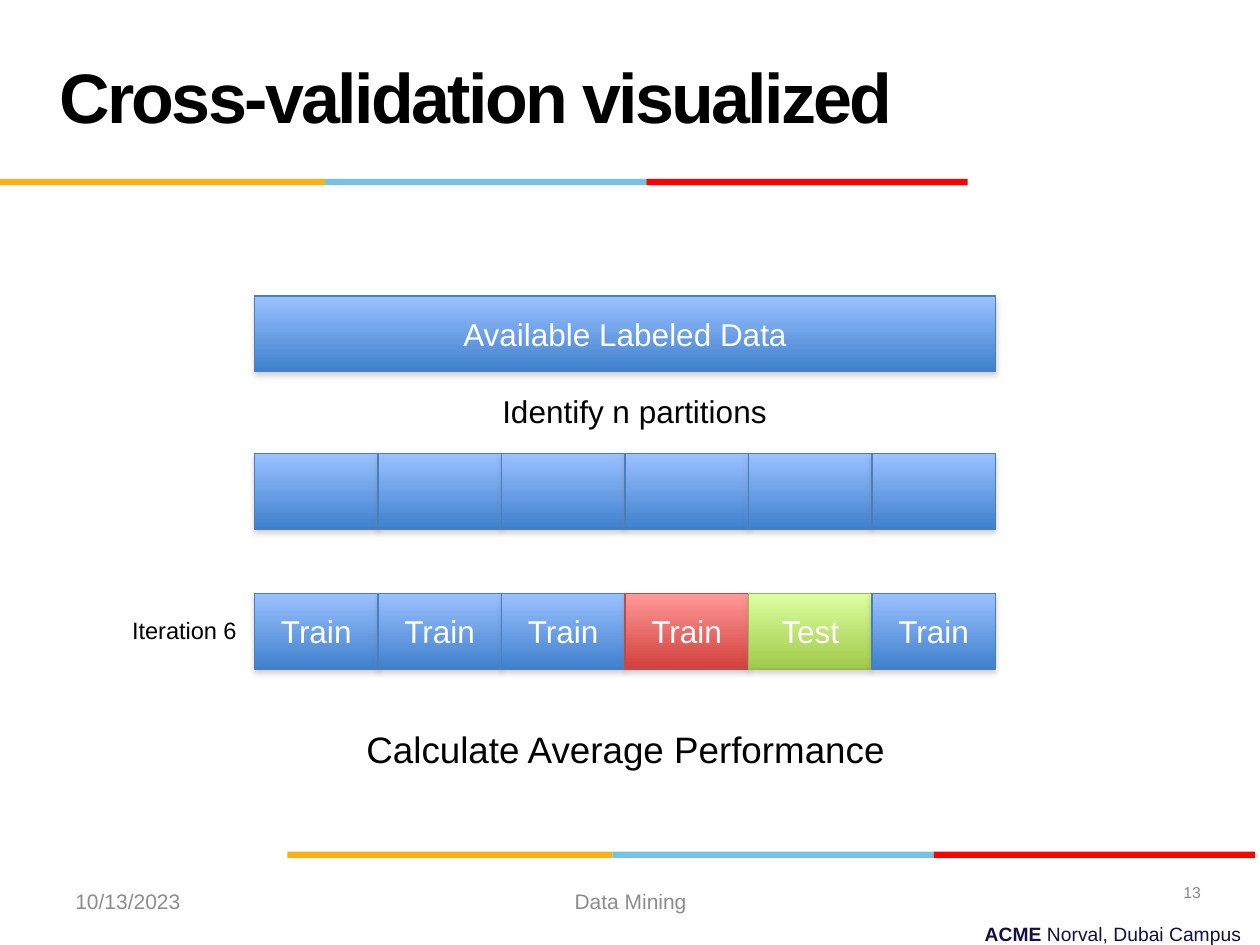
from lxml.etree import SubElement
from pptx import Presentation
from pptx.dml.color import RGBColor as RGB
from pptx.enum.shapes import MSO_SHAPE as SHAPE
from pptx.enum.text import MSO_ANCHOR as ANCHOR, PP_ALIGN as ALIGN
from pptx.oxml.ns import qn
from pptx.util import Inches, Pt

COLORS = {
    "black": "000000", "white": "FFFFFF", "navy": "101141",
    "footer": "8C8C8C", "number": "898989", "shadow": "808080",
    "gold": "FCB017", "sky": "76C2E5", "red": "FF0000",
}
BOXES = {
    "blue": ("9BC1FF", "3F80CD", "4A7EBB"),
    "red": ("FF9A99", "D1403C", "BE4B48"),
    "green": ("DCFFA0", "A0CA4A", "98B954"),
}


class Deck:
    font = "Arial"

    def __init__(self, width, height):
        self.prs = Presentation()
        self.prs.slide_width = Inches(width)
        self.prs.slide_height = Inches(height)

    def add_slide(self):
        self.s = self.prs.slides.add_slide(self.prs.slide_layouts[5])

    def set_text(self, sp, runs, size, color="black", align=ALIGN.LEFT,
                 anchor=ANCHOR.MIDDLE, wrap=True):
        tf = sp.text_frame
        for name, value in {"word_wrap": wrap, "vertical_anchor": anchor}.items():
            setattr(tf, name, value)
        p = tf.paragraphs[0]
        p.alignment = align
        for text, bold in runs:
            r = p.add_run()
            r.text = text
            fmt = {"name": self.font, "size": Pt(size), "bold": bold}
            for name, value in fmt.items():
                setattr(r.font, name, value)
            r.font.color.rgb = RGB.from_string(COLORS[color])

    def title(self, text, x, y, w, h, size, spacing):
        sp = self.s.shapes.title
        place = {"left": x, "top": y, "width": w, "height": h}
        for name, value in place.items():
            setattr(sp, name, Inches(value))
        self.set_text(sp, [(text, True)], size)
        r = sp.text_frame.paragraphs[0].runs[0]
        r.font._element.set("spc", str(int(spacing * 100)))

    def label(self, text, x, y, w, h, size, **style):
        sp = self.s.shapes.add_textbox(*map(Inches, (x, y, w, h)))
        runs = [(text, False)] if isinstance(text, str) else text
        self.set_text(sp, runs, size, **style)

    def rect(self, x, y, w, h):
        sp = self.s.shapes.add_shape(SHAPE.RECTANGLE, *map(Inches, (x, y, w, h)))
        sp.shadow.inherit = False
        return sp

    def stripe(self, x, y):
        for color, w in (("gold", 2.58), ("sky", 2.55), ("red", 2.55)):
            sp = self.rect(x, y, w, 0.05)
            sp.fill.solid()
            sp.fill.fore_color.rgb = RGB.from_string(COLORS[color])
            sp.line.fill.background()
            x += w

    def box(self, x, y, w, h, text="", color="blue"):
        sp = self.rect(x, y, w, h)
        top, bottom, edge = BOXES[color]
        sp.fill.gradient()
        sp.fill.gradient_angle = 270
        for stop, value, pos in zip(sp.fill.gradient_stops, (top, bottom), (0, 1)):
            stop.position = pos
            stop.color.rgb = RGB.from_string(value)
        sp.line.color.rgb = RGB.from_string(edge)
        sp.line.width = Pt(0.75)
        self.shadow(sp)
        if text:
            self.set_text(sp, [(text, False)], 18, "white", ALIGN.CENTER)

    def shadow(self, sp):
        effects = sp._element.spPr.find(qn("a:effectLst"))
        outer = SubElement(effects, qn("a:outerShdw"), {
            "blurRad": str(Pt(3.1)), "dist": str(Pt(1.8)),
            "dir": "5400000", "rotWithShape": "0"})
        clr = SubElement(outer, qn("a:srgbClr"), val=COLORS["shadow"])
        SubElement(clr, qn("a:alpha"), val="35000")

    def row(self, x, y, w, h, cells):
        for i, (text, color) in enumerate(cells):
            self.box(x + i * w, y, w, h, text, color)


def main():
    deck = Deck(10, 7.5)
    deck.add_slide()
    left, cell, height, n = 2.02, 0.98, 0.6, 6
    top = {"anchor": ANCHOR.TOP}

    deck.stripe(0, 1.42)
    deck.stripe(2.28, 6.76)
    deck.title("Cross-validation visualized", 0.37, 0.13, 9, 1.25, 40, -1.5)

    deck.box(left, 2.35, n * cell, height, "Available Labeled Data")
    deck.label("Identify n partitions", 3.44, 3.06, 3.19, 0.4, 18,
               align=ALIGN.CENTER, **top)
    deck.row(left, 3.6, cell, height, [("", "blue")] * n)

    train = ("Train", "blue")
    deck.row(left, 4.71, cell, height,
             [train] * 3 + [("Train", "red"), ("Test", "green"), train])
    deck.label("Iteration 6", 0.95, 4.84, 1.04, 0.33, 13.5, wrap=False, **top)
    deck.label("Calculate Average Performance", 2.81, 5.72, 4.35, 0.45, 21,
               wrap=False, **top)

    deck.label("10/13/2023", 0.5, 6.95, 2.33, 0.4, 12, color="footer")
    deck.label("Data Mining", 3.42, 6.95, 3.17, 0.4, 12, color="footer",
               align=ALIGN.CENTER)
    deck.label("13", 7.3, 6.88, 2.33, 0.4, 9, color="number", align=ALIGN.RIGHT)
    deck.label([("ACME ", True), ("Norval, Dubai Campus", False)],
               3.53, 7.27, 6.42, 0.29, 11, color="navy", align=ALIGN.RIGHT, **top)

    deck.prs.save("out.pptx")


if __name__ == "__main__":
    main()
